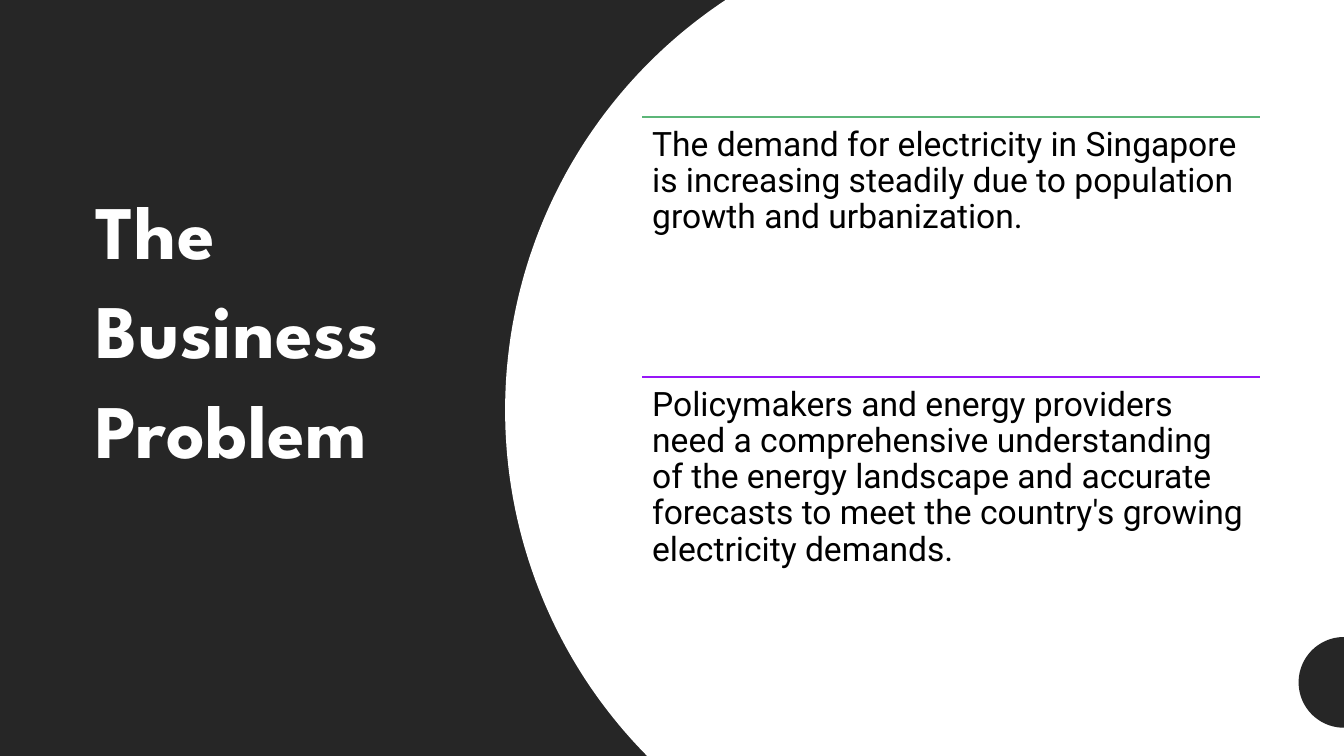
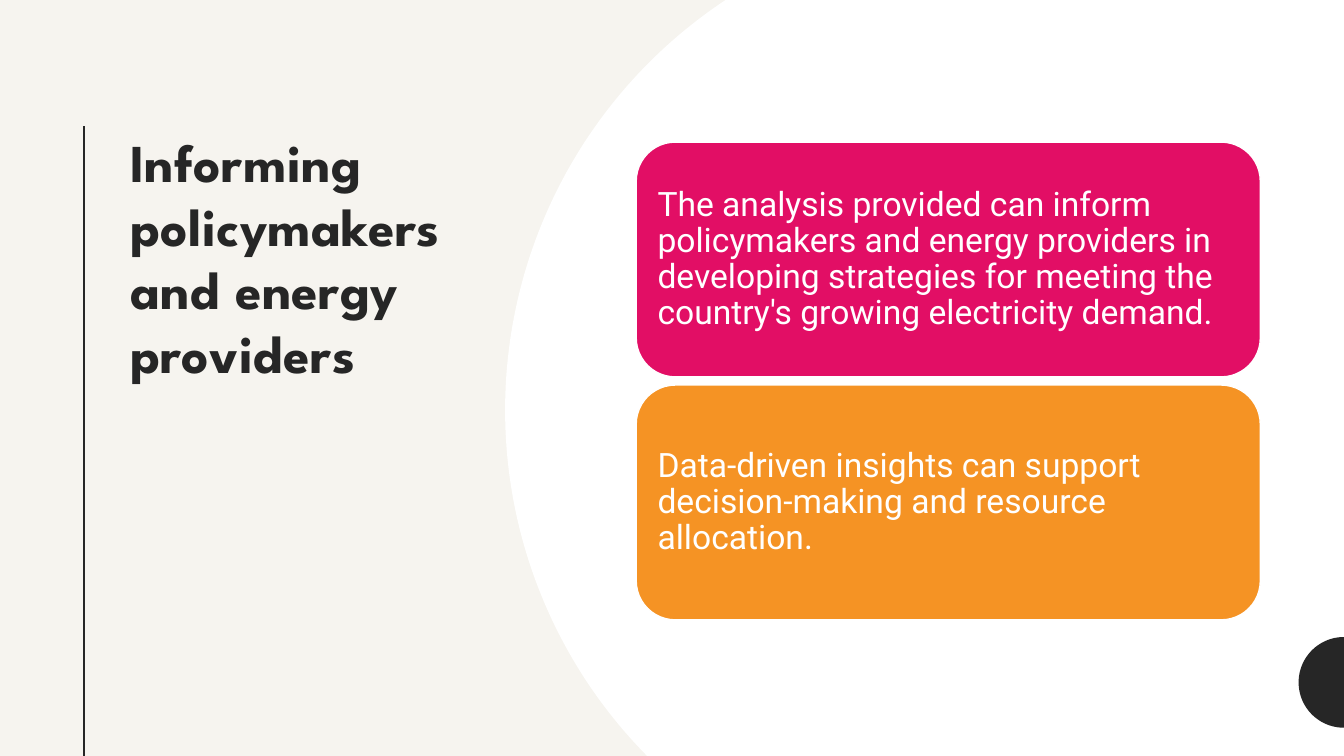
from math import asin, cos, sin

from lxml import etree
from pptx import Presentation
from pptx.dml.color import RGBColor
from pptx.enum.shapes import MSO_CONNECTOR, MSO_SHAPE
from pptx.enum.text import MSO_ANCHOR, MSO_AUTO_SIZE, PP_ALIGN
from pptx.oxml.ns import qn
from pptx.util import Inches, Pt

STRAIGHT = MSO_CONNECTOR.STRAIGHT
ROUNDED = MSO_SHAPE.ROUNDED_RECTANGLE
TOP, MIDDLE = MSO_ANCHOR.TOP, MSO_ANCHOR.MIDDLE
LEFT = PP_ALIGN.LEFT
NO_FIT = MSO_AUTO_SIZE.NONE
TITLE_ONLY = 5

SLIDE_W, SLIDE_H = 13.33, 7.5
TITLE_FONT, BODY_FONT = "League Spartan", "Roboto"
COLORS = {
    "dark": "262626",
    "cream": "F6F4EF",
    "white": "FFFFFF",
    "black": "000000",
    "green": "5CB678",
    "purple": "9717F7",
    "pink": "E20E65",
    "orange": "F59324",
}

PROBLEM_TITLE = "The Business Problem"
PROBLEMS = [
    ("green", "The demand for electricity in Singapore is increasing steadily "
              "due to population growth and urbanization."),
    ("purple", "Policymakers and energy providers need a comprehensive "
               "understanding of the energy landscape and accurate forecasts "
               "to meet the country's growing electricity demands."),
]
INFORMING_TITLE = "Informing policymakers and energy providers"
BENEFITS = [
    ("pink", "The analysis provided can inform policymakers and energy "
             "providers in developing strategies for meeting the country's "
             "growing electricity demand."),
    ("orange", "Data-driven insights can support decision-making and resource "
               "allocation."),
]


def rgb(color):
    return RGBColor.from_string(COLORS[color])


def add_arc_panel(slide, center, radius, color, steps=120):
    """Fill from the left arc of a circle to the right edge of the slide."""
    center_x, center_y = center
    top = max(0, center_y - radius)
    bottom = min(SLIDE_H, center_y + radius)
    start, end = (asin(max(-1, min(1, (y - center_y) / radius)))
                  for y in (top, bottom))
    angles = [start + (end - start) * i / steps for i in range(steps + 1)]
    arc = [(Inches(center_x - radius * cos(a)), Inches(center_y + radius * sin(a)))
           for a in angles]
    right = Inches(SLIDE_W)
    builder = slide.shapes.build_freeform(right, Inches(top))
    builder.add_line_segments(arc + [(right, Inches(bottom))], close=True)
    panel = builder.convert_to_shape()
    panel.shadow.inherit = False
    panel.fill.solid()
    panel.fill.fore_color.rgb = rgb(color)
    panel.line.fill.background()


def add_rule(slide, start, end, color, width):
    rule = slide.shapes.add_connector(STRAIGHT, *map(Inches, start + end))
    rule.line.color.rgb = rgb(color)
    rule.line.width = Pt(width)
    etree.SubElement(rule._element.spPr, qn("a:effectLst"))


def set_text(shape, text, font, size, color, anchor, margins, spacing):
    frame = shape.text_frame
    frame.text = text
    frame.word_wrap = True
    frame.auto_size = NO_FIT
    frame.vertical_anchor = anchor
    (frame.margin_left, frame.margin_top,
     frame.margin_right, frame.margin_bottom) = map(Inches, margins)
    paragraph = frame.paragraphs[0]
    paragraph.alignment = LEFT
    paragraph.line_spacing = spacing
    run = paragraph.runs[0]
    run.font.name = font
    run.font.size = Pt(size)
    run.font.color.rgb = rgb(color)
    return run


def set_body(shape, text, color, anchor):
    set_text(shape, text, BODY_FONT, 24, color, anchor, (0.1,) * 4, 0.9)


def add_base_slide(prs, background, title, box, size, color, anchor, spacing):
    """Add a slide with its title, white curved panel and corner half-disc."""
    slide = prs.slides.add_slide(prs.slide_layouts[TITLE_ONLY])
    slide.background.fill.solid()
    slide.background.fill.fore_color.rgb = rgb(background)
    heading = slide.shapes.title
    heading.left, heading.top, heading.width, heading.height = map(Inches, box)
    run = set_text(heading, title, TITLE_FONT, size, color, anchor,
                   (0.12, 0.12, 0.12, 0.1), spacing)
    run.font.bold = True
    run._r.get_or_add_rPr().set("spc", "40")
    add_arc_panel(slide, (9.89, 4.07), 4.88, "white")
    add_arc_panel(slide, (SLIDE_W, 6.77), 0.45, "dark")
    return slide


def build_problem(prs):
    slide = add_base_slide(prs, "dark", PROBLEM_TITLE, (0.83, 1.16, 3.7, 4.09),
                           54, "white", MIDDLE, 1.1)
    left, first_top, width, height = 6.37, 1.16, 6.13, 2.58
    for i, (color, text) in enumerate(PROBLEMS):
        top = first_top + i * height
        add_rule(slide, (left, top), (left + width, top), color, 1)
        statement = slide.shapes.add_textbox(
            *map(Inches, (left, top, width, height)))
        set_body(statement, text, "black", TOP)


def build_informing(prs):
    slide = add_base_slide(prs, "cream", INFORMING_TITLE, (1.17, 1.16, 3.7, 5.26),
                           38, "dark", TOP, 1.0)
    add_rule(slide, (0.83, 1.25), (0.83, SLIDE_H), "dark", 1.5)
    left, first_top, width, height, gap = 6.31, 1.41, 6.19, 2.33, 0.08
    for i, (color, text) in enumerate(BENEFITS):
        top = first_top + i * (height + gap)
        card = slide.shapes.add_shape(
            ROUNDED, *map(Inches, (left, top, width, height)))
        card.shadow.inherit = False
        card.fill.solid()
        card.fill.fore_color.rgb = rgb(color)
        card.line.color.rgb = rgb("white")
        card.line.width = Pt(1)
        set_body(card, text, "white", MIDDLE)


def main():
    prs = Presentation()
    prs.slide_width, prs.slide_height = Inches(SLIDE_W), Inches(SLIDE_H)
    build_problem(prs)
    build_informing(prs)
    prs.save("out.pptx")


if __name__ == "__main__":
    main()
